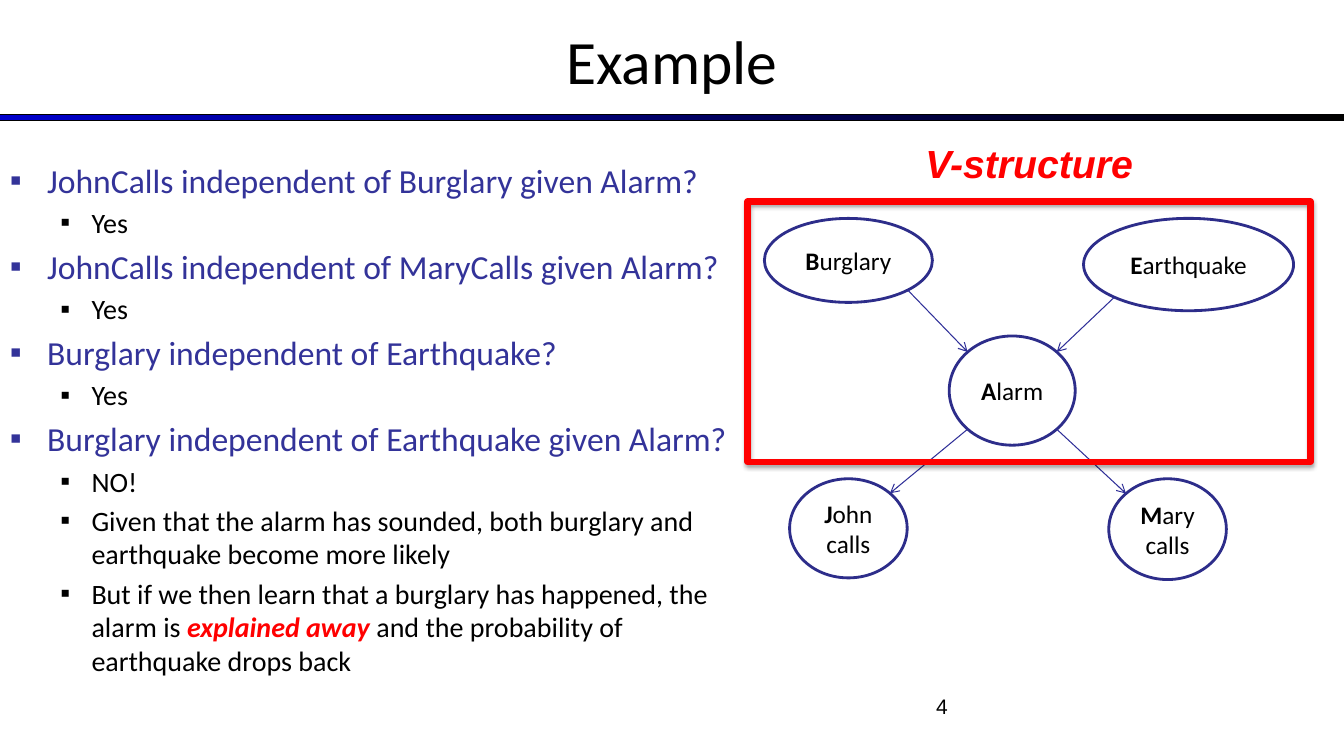
from math import sqrt
from lxml.etree import SubElement as Sub
from pptx import Presentation as Deck
from pptx.dml.color import RGBColor as RGB
from pptx.enum.shapes import MSO_CONNECTOR as Link, MSO_SHAPE as Kind
from pptx.enum.text import MSO_ANCHOR as Anchor, PP_ALIGN as Align
from pptx.oxml.ns import qn
from pptx.util import Inches, Pt

HUE = {"ink": "000000", "paper": "FFFFFF", "head": "333399", "edge": "2D2D8A",
       "arrow": "2F2F98", "alert": "FF0000", "bar": "0000CC"}
COLS, ROWS = 160, 90
WIDE, HIGH = Inches(13.333), Inches(7.5)

ALERT = {"bold": True, "italic": True}
LEVELS = [{"size": 24, "hue": "head", "left": 0.37, "hang": 0.37},
          {"size": 20, "hue": "ink", "left": 0.81, "hang": 0.31}]
POINTS = [
    (0, ["JohnCalls independent of Burglary given Alarm?"]),
    (1, ["Yes"]),
    (0, ["JohnCalls independent of MaryCalls given Alarm?"]),
    (1, ["Yes"]),
    (0, ["Burglary independent of Earthquake?"]),
    (1, ["Yes"]),
    (0, ["Burglary independent of Earthquake given Alarm?"]),
    (1, ["NO!"]),
    (1, ["Given that the alarm has sounded, both burglary and earthquake become more likely"]),
    (1, ["But if we then learn that a burglary has happened, the alarm is ",
         "explained away ", "and the probability of earthquake drops back"]),
]
NODES = {
    "Burglary": (2, 10, 20, 10),
    "Earthquake": (40, 10, 25, 11),
    "Alarm": (24, 24, 15, 13),
    "John calls": (5, 41, 14, 11.8),
    "Mary calls": (43, 41, 14, 12),
}
EDGES = [("Burglary", "Alarm"), ("Earthquake", "Alarm"),
         ("Alarm", "John calls"), ("Alarm", "Mary calls")]


def color(name):
    return RGB.from_string(HUE[name])


def grid(x, y, w=0, h=0):
    return [int(WIDE * x / COLS), int(HIGH * y / ROWS),
            int(WIDE * w / COLS), int(HIGH * h / ROWS)]


def shift(box, part):
    return (box[0] + part[0], box[1] + part[1], *part[2:])


def style(item, form):
    for key, value in form.items():
        setattr(item, key, value)


def write(para, text, size, hue="ink", face="Calibri", **form):
    run = para.add_run()
    run.text = text
    style(run.font, {"size": Pt(size), "name": face, **form})
    run.font.color.rgb = color(hue)


def text_box(slide, box, wrap=True):
    frame = slide.shapes.add_textbox(*grid(*box)).text_frame
    frame.word_wrap = wrap
    return frame


def outline(shape, hue, width):
    shape.line.color.rgb = color(hue)
    shape.line.width = Pt(width)


def bullet(para, form):
    props = para._p.get_or_add_pPr()
    props.set("marL", str(Inches(form["left"])))
    props.set("indent", str(-Inches(form["hang"])))
    tint = Sub(props, qn("a:buClr"))
    Sub(tint, qn("a:srgbClr"), val=HUE[form["hue"]])
    Sub(props, qn("a:buFont"), typeface="Arial")
    Sub(props, qn("a:buChar"), char="▪")


def header(slide, box):
    x, y, w, h = box
    title = slide.shapes.title
    style(title, dict(zip(("left", "top", "width", "height"), grid(*box))))
    frame = title.text_frame
    frame.vertical_anchor = Anchor.MIDDLE
    para = frame.paragraphs[0]
    para.alignment = Align.CENTER
    write(para, "Example", 44)
    bar = slide.shapes.add_shape(Kind.RECTANGLE, *grid(x, y + 14, w, 0.8))
    bar.shadow.inherit = False
    bar.fill.gradient()
    bar.fill.gradient_angle = 0
    for stop, hue, place in zip(bar.fill.gradient_stops, ("bar", "ink"), (0, 1)):
        stop.color.rgb = color(hue)
        stop.position = place
    outline(bar, "ink", 0.75)


def body(slide, box):
    frame = text_box(slide, box)
    for i, (level, parts) in enumerate(POINTS):
        para = frame.add_paragraph() if i else frame.paragraphs[0]
        form = LEVELS[level]
        style(para, {"level": level, "space_before": Pt(form["size"] * 0.2)})
        bullet(para, form)
        for j, part in enumerate(parts):
            if j == 1:
                write(para, part, form["size"], "alert", **ALERT)
            else:
                write(para, part, form["size"], form["hue"])


def node(slide, box, name):
    oval = slide.shapes.add_shape(Kind.OVAL, *grid(*box))
    oval.shadow.inherit = False
    oval.fill.solid()
    oval.fill.fore_color.rgb = color("paper")
    outline(oval, "edge", 2)
    frame = oval.text_frame
    style(frame, {"word_wrap": True, "vertical_anchor": Anchor.MIDDLE})
    para = frame.paragraphs[0]
    para.alignment = Align.CENTER
    write(para, name[0], 18, bold=True)
    write(para, name[1:], 18, bold=False)


def rim(box, other):
    x, y, w, h = box
    right = other[0] + other[2] / 2 > x + w / 2
    below = other[1] > y
    return (x + w / 2 + (w if right else -w) / sqrt(8),
            y + h / 2 + (h if below else -h) / sqrt(8))


def arrow(slide, tail, head):
    start, end = grid(*rim(tail, head))[:2], grid(*rim(head, tail))[:2]
    line = slide.shapes.add_connector(Link.STRAIGHT, *start, *end)
    outline(line, "arrow", 0.75)
    Sub(line.line._get_or_add_ln(), qn("a:tailEnd"), type="arrow")
    Sub(line._element.spPr, qn("a:effectLst"))


def frame_box(slide, box):
    rect = slide.shapes.add_shape(Kind.RECTANGLE, *grid(*box))
    rect.shadow.inherit = False
    rect.fill.background()
    outline(rect, "alert", 4.5)
    glow = Sub(rect._element.spPr.find(qn("a:effectLst")), qn("a:outerShdw"),
               blurRad=str(Pt(3.1)), dist=str(Pt(1.8)), dir="5400000", rotWithShape="0")
    tint = Sub(glow, qn("a:srgbClr"), val=HUE["ink"])
    Sub(tint, qn("a:alpha"), val="35000")


def network(slide, box):
    spots = {name: shift(box, part) for name, part in NODES.items()}
    for name, spot in spots.items():
        node(slide, spot, name)
    for tail, head in EDGES:
        arrow(slide, spots[tail], spots[head])
    frame_box(slide, shift(box, (0, 8, 67, 31)))
    label = text_box(slide, shift(box, (20, 0, 28.6, 6.8)), False)
    write(label.paragraphs[0], "V-structure", 28, "alert", "Arial", **ALERT)


def footer(slide, box):
    para = text_box(slide, box).paragraphs[0]
    para.alignment = Align.RIGHT
    write(para, "4", 15, face="Arial")


def main():
    deck = Deck()
    style(deck, {"slide_width": WIDE, "slide_height": HIGH})
    slide = deck.slides.add_slide(deck.slide_layouts[5])
    header(slide, (0, -0.4, COLS, 15))
    body(slide, (0, 18.4, 89, 62))
    network(slide, (89, 16, 67, 53))
    footer(slide, (86, 82, 28, 6.2))
    deck.save("out.pptx")


if __name__ == "__main__":
    main()
